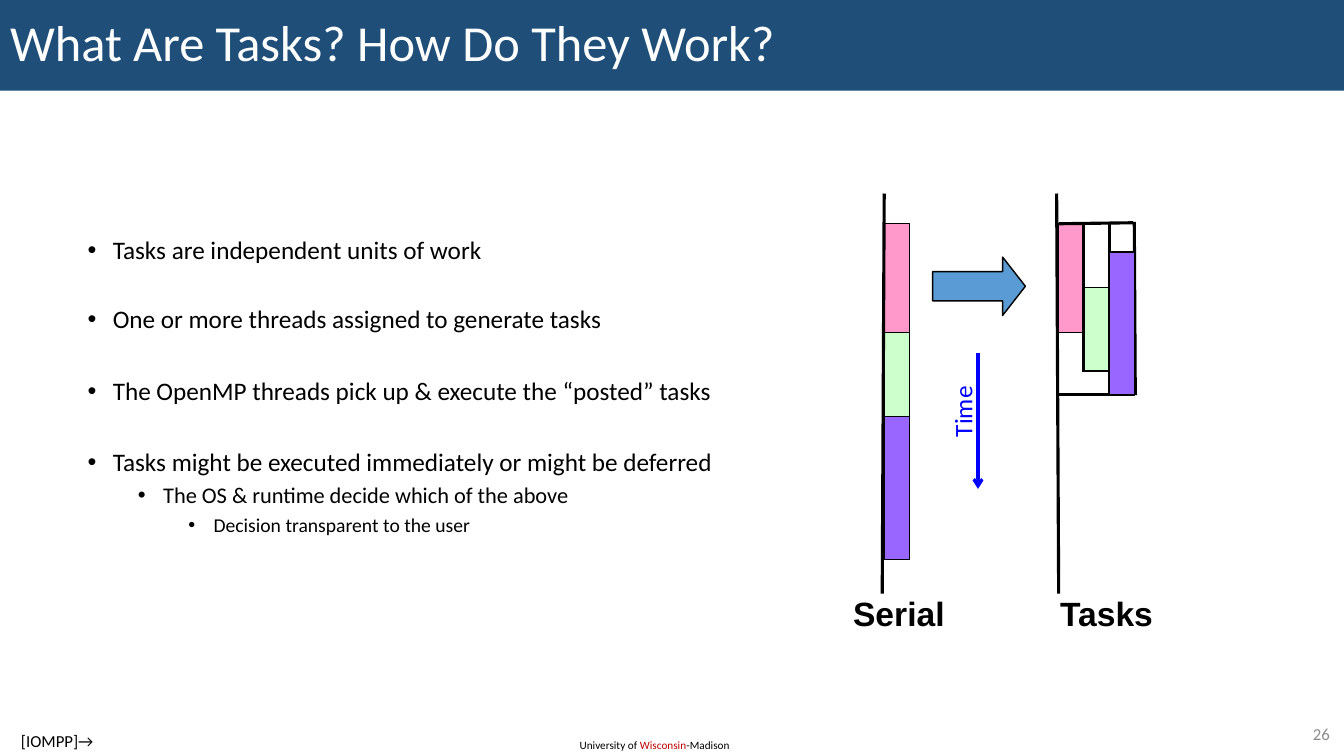
"""Build the slide on tasks: bullets beside a serial versus tasks timeline."""
from lxml import etree
from pptx import Presentation
from pptx.dml.color import RGBColor
from pptx.enum.shapes import MSO_CONNECTOR, MSO_SHAPE
from pptx.enum.text import MSO_ANCHOR, MSO_AUTO_SIZE, PP_ALIGN
from pptx.oxml.ns import qn
from pptx.util import Inches, Pt

RECT, ARROW = MSO_SHAPE.RECTANGLE, MSO_SHAPE.RIGHT_ARROW
LINE = MSO_CONNECTOR.STRAIGHT
LEFT, MID, RIGHT = PP_ALIGN.LEFT, PP_ALIGN.CENTER, PP_ALIGN.RIGHT
BLACK, WHITE, NAVY, BLUE = "000000", "FFFFFF", "1F4E79", "0000FF"
RED, GRAY, SKY = "C00000", "8C8C8C", "5B9BD5"

TITLE = "What Are Tasks? How Do They Work?"
# level, space before, text
BULLETS = [
    (0, 0, "Tasks are independent units of work"),
    (0, 29.8, "One or more threads assigned to generate tasks"),
    (0, 31.6, "The OpenMP threads pick up & execute the “posted” tasks"),
    (0, 31.6, "Tasks might be executed immediately or might be deferred"),
    (1, 5, "The OS & runtime decide which of the above"),
    (2, 5, "Decision transparent to the user"),
]
SIZES = [18, 16, 14]
# colour, height, top when run as a task
JOBS = [("FF99CC", 1.08, 2.22), ("CCFFCC", 0.83, 2.85), ("9966FF", 1.42, 2.5)]
WIDE, TOP, SERIAL, TASKS = 0.25, 2.22, 8.77, 10.5
LINES = [
    (8.77, 1.92, 8.75, 5.89),
    (10.48, 1.92, 10.5, 5.89),
    (10.75, 2.22, 10.75, 3.69),
    (11, 2.22, 11, 3.7),
    (11.25, 3.91, 10.5, 3.91),
    (11.24, 2.21, 10.5, 2.22),
    (11.25, 2.2, 11.26, 3.92),
]
# text, box, size, font, colour, bold, alignment, wrap
LABELS = [
    ("Serial", (8.36, 5.83, 1.11, 0.5), 24, "Arial", BLACK, True, MID, False),
    ("Tasks", (10.41, 5.83, 1.13, 0.5), 24, "Arial", BLACK, True, MID, False),
    ("Time", (9.19, 3.88, 0.71, 0.4), 18, "Calibri", BLUE, False, LEFT, False),
    ("[IOMPP]→", (0.11, 7.2, 1.14, 0.3), 12, "Calibri", BLACK, False, LEFT, True),
    ("26", (12.53, 7.13, 0.76, 0.29), 12, "Calibri", GRAY, False, RIGHT, True),
]
FOOT = [("University of ", BLACK), ("Wisconsin", RED), ("-Madison", BLACK)]


def rgb(code):
    return RGBColor.from_string(code)


def style(para, size, color, name="Calibri", bold=False, align=LEFT):
    font = para.font
    font.size, font.name, font.bold = Pt(size), name, bold
    font.color.rgb = rgb(color)
    para.alignment = align


def add_box(slide, box, wrap=True):
    shape = slide.shapes.add_textbox(*map(Inches, box))
    shape.text_frame.word_wrap = wrap
    return shape


def add_form(slide, kind, box, color):
    shape = slide.shapes.add_shape(kind, *map(Inches, box))
    shape.shadow.inherit = False
    shape.fill.solid()
    shape.fill.fore_color.rgb = rgb(color)
    shape.line.color.rgb = rgb(BLACK)
    shape.line.width = Pt(1)
    return shape


def add_line(slide, ends, color=BLACK):
    line = slide.shapes.add_connector(LINE, *map(Inches, ends))
    line.line.color.rgb = rgb(color)
    line.line.width = Pt(2.25)
    etree.SubElement(line._element.spPr, qn("a:effectLst"))
    return line


def add_title(slide):
    title = slide.shapes.title
    title.left, title.top = 0, 0
    title.width, title.height = Inches(13.33), Inches(0.9)
    title.fill.solid()
    title.fill.fore_color.rgb = rgb(NAVY)
    frame = title.text_frame
    frame.text = TITLE
    frame.auto_size = MSO_AUTO_SIZE.NONE
    frame.vertical_anchor = MSO_ANCHOR.MIDDLE
    style(frame.paragraphs[0], 36, WHITE)
    frame.paragraphs[0].line_spacing = 0.9


def add_list(slide):
    frame = add_box(slide, (0.77, 1.48, 6.61, 5.55)).text_frame
    frame.margin_top = Inches(0.88)
    for n, (level, gap, text) in enumerate(BULLETS):
        para = frame.add_paragraph() if n else frame.paragraphs[0]
        para.text, para.level = text, level
        para.line_spacing, para.space_before = 0.9, Pt(gap)
        style(para, SIZES[level], BLACK)
        props = para._p.get_or_add_pPr()
        props.set("marL", str(Inches(0.25 + 0.5 * level)))
        props.set("indent", str(Inches(-0.25)))
        font = etree.Element(qn("a:buFont"), typeface="Arial")
        mark = etree.Element(qn("a:buChar"), char="•")
        run = props.find(qn("a:defRPr"))
        run.addprevious(font)
        run.addprevious(mark)


def add_chart(slide):
    top = TOP
    for color, high, _ in JOBS:
        add_form(slide, RECT, (SERIAL, top, WIDE, high), color)
        top += high
    tasks = [((TASKS + n * WIDE, start, WIDE, high), color)
             for n, (color, high, start) in enumerate(JOBS)]
    for box, color in tasks[:-1]:
        add_form(slide, RECT, box, color)
    for ends in LINES:
        add_line(slide, ends)
    add_form(slide, RECT, *tasks[-1])
    arrow = add_form(slide, ARROW, (9.25, 2.55, 0.92, 0.58), SKY)
    arrow.adjustments[1] = 0.39
    time = add_line(slide, (9.7, 3.5, 9.7, 4.85), BLUE)
    etree.SubElement(time.line._get_or_add_ln(), qn("a:tailEnd"), type="arrow")


def add_labels(slide):
    for text, box, size, name, color, bold, align, wrap in LABELS:
        shape = add_box(slide, box, wrap)
        shape.text_frame.text = text
        style(shape.text_frame.paragraphs[0], size, color, name, bold, align)
        if text == "Time":
            shape.rotation = 270
        if text == "26":
            shape.text_frame.vertical_anchor = MSO_ANCHOR.MIDDLE
    para = add_box(slide, (5.65, 7.28, 1.72, 0.24)).text_frame.paragraphs[0]
    style(para, 8, BLACK)
    for text, color in FOOT:
        run = para.add_run()
        run.text = text
        run.font.color.rgb = rgb(color)


def main():
    deck = Presentation()
    deck.slide_width, deck.slide_height = Inches(13.33), Inches(7.5)
    slide = deck.slides.add_slide(deck.slide_layouts[5])
    add_title(slide)
    add_list(slide)
    add_chart(slide)
    add_labels(slide)
    deck.save("out.pptx")


if __name__ == "__main__":
    main()
